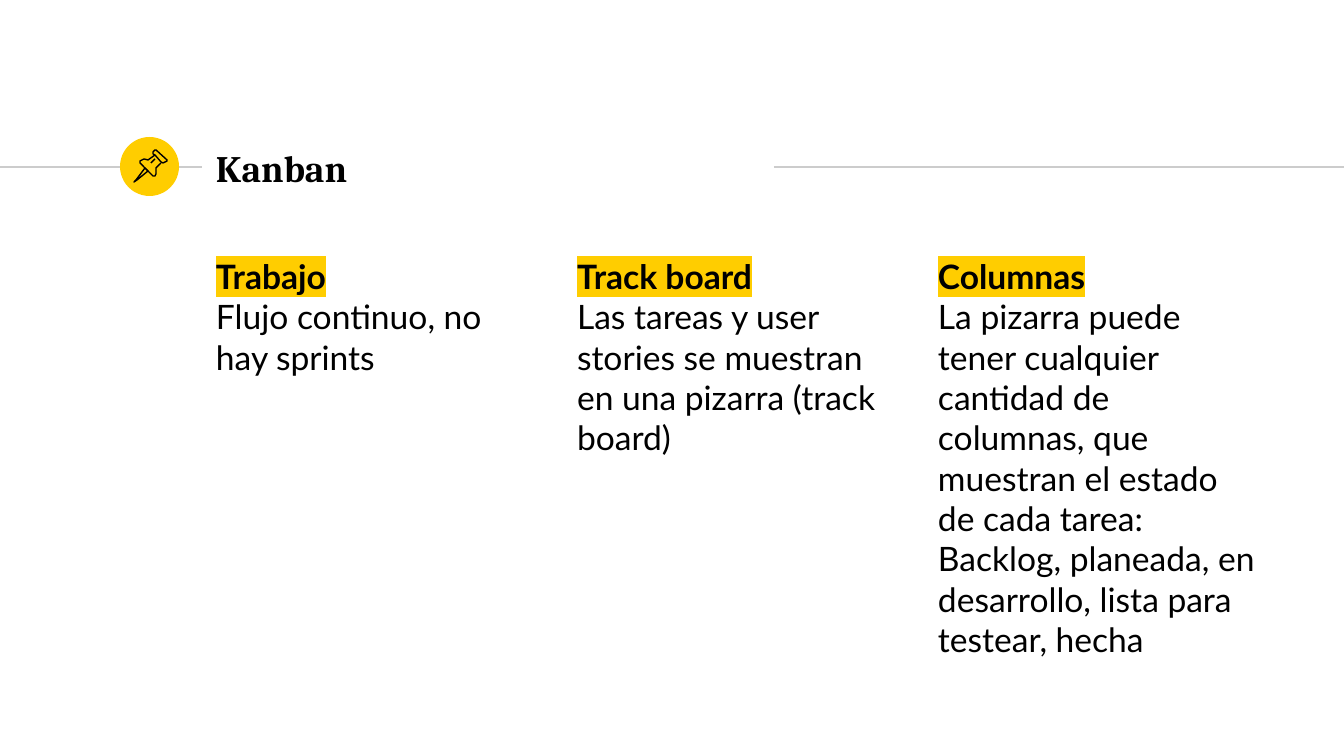
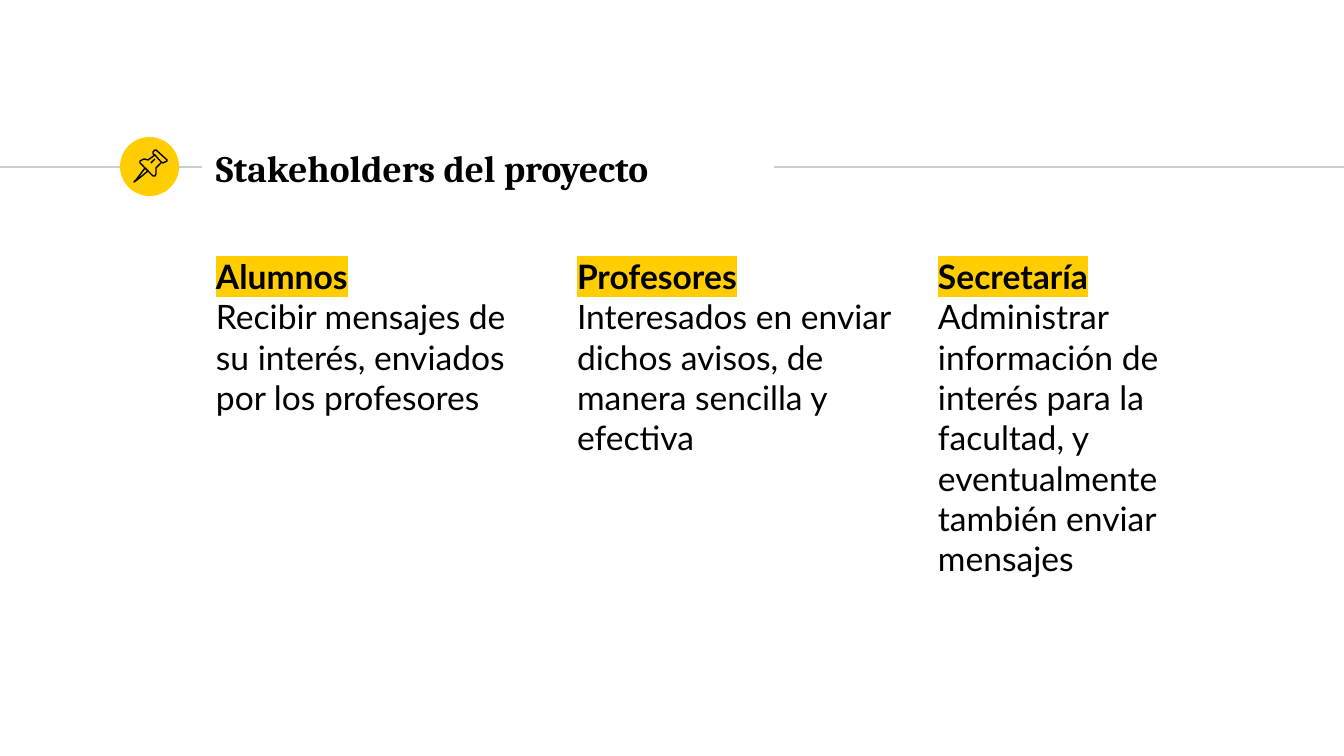
from dataclasses import dataclass

from lxml.etree import SubElement
from pptx import Presentation
from pptx.dml.color import RGBColor
from pptx.enum.shapes import MSO_CONNECTOR, MSO_SHAPE
from pptx.enum.text import MSO_ANCHOR, MSO_AUTO_SIZE, PP_ALIGN
from pptx.oxml import parse_xml
from pptx.oxml.ns import nsdecls, qn
from pptx.shapes.autoshape import Shape
from pptx.slide import Slide
from pptx.text.text import TextFrame, _Paragraph
from pptx.util import Emu, Pt

EMU_PER_PX = 914400 / 134.4
SLIDE_WIDTH, SLIDE_HEIGHT = 1344, 756
COLORS = {"ink": "000000", "accent": "FFCD00", "rule": "CCCCCC"}
TITLE_FONT, BODY_FONT = "Cambria", "Lato"
INSET = 13
LINE_WIDTH = Pt(0.75)

RULE_Y = 167
RULE_SPANS = [(0, 202), (774, SLIDE_WIDTH)]
BADGE_BOX = (120, 137, 59, 59)
TITLE_BOX = (203, 136, 570, 64)
COLUMN_LEFT, COLUMN_TOP, COLUMN_WIDTH, COLUMN_HEIGHT = 203, 243, 343, 458
COLUMN_STEP = 361


@dataclass(frozen=True)
class Column:
    """A highlighted heading with the text under it."""
    heading: str
    text: str


@dataclass(frozen=True)
class Topic:
    """The content of one slide."""
    title: str
    columns: tuple[Column, ...]


@dataclass(frozen=True)
class Stroke:
    """One outline of the pushpin icon."""
    points: tuple[tuple[int, int], ...]
    closed: bool = False


PUSHPIN = (
    Stroke(((145, 168), (136, 180), (134, 182), (137, 180), (148, 171)), closed=True),
    Stroke(((155, 155), (161, 162), (163, 163), (165, 162), (167, 161), (167, 160),
            (156, 150), (155, 150), (153, 152), (153, 154)), closed=True),
    Stroke(((155, 155), (148, 160), (144, 159), (140, 161), (140, 163), (153, 176),
            (155, 176), (156, 174), (156, 168), (161, 163))),
    Stroke(((151, 163), (155, 159))),
)

TOPICS = (
    Topic("Kanban", (
        Column("Trabajo", "Flujo continuo, no hay sprints"),
        Column("Track board",
               "Las tareas y user stories se muestran en una pizarra (track board)"),
        Column("Columnas",
               "La pizarra puede tener cualquier cantidad de columnas, que muestran el "
               "estado de cada tarea: Backlog, planeada, en desarrollo, lista para "
               "testear, hecha"),
    )),
    Topic("Stakeholders del proyecto", (
        Column("Alumnos", "Recibir mensajes de su interés, enviados por los profesores"),
        Column("Profesores",
               "Interesados en enviar dichos avisos, de manera sencilla y efectiva"),
        Column("Secretaría",
               "Administrar información de interés para la facultad, y eventualmente "
               "también enviar mensajes"),
    )),
)


def px(length: float) -> Emu:
    """Turn pixels into EMU."""
    return Emu(round(length * EMU_PER_PX))


def color(name: str) -> RGBColor:
    """Look up a named colour."""
    return RGBColor.from_string(COLORS[name])


def place(placeholder: Shape, box: tuple[int, int, int, int],
          anchor: MSO_ANCHOR = MSO_ANCHOR.TOP) -> TextFrame:
    """Move a placeholder, set its margins and return its text frame."""
    placeholder.left, placeholder.top, placeholder.width, placeholder.height = map(px, box)
    frame = placeholder.text_frame
    frame.word_wrap = True
    frame.auto_size = MSO_AUTO_SIZE.NONE
    frame.vertical_anchor = anchor
    frame.margin_left = frame.margin_right = px(INSET)
    frame.margin_top = frame.margin_bottom = px(INSET)
    return frame


def write(paragraph: _Paragraph, text: str, *, font: str, size: int,
          bold: bool = False, highlight: str | None = None) -> None:
    """Fill a paragraph with one formatted run, flush left and without a bullet."""
    paragraph.alignment = PP_ALIGN.LEFT
    paragraph.space_before = paragraph.space_after = Pt(0)
    paragraph.line_spacing = 1.0
    properties = paragraph._p.get_or_add_pPr()
    properties.set("marL", "0")
    properties.set("indent", "0")
    SubElement(properties, qn("a:buNone"))
    run = paragraph.add_run()
    run.text = text
    run.font.name, run.font.size, run.font.bold = font, Pt(size), bold
    run.font.color.rgb = color("ink")
    if highlight:
        fill = run._r.rPr.find(qn("a:solidFill"))
        fill.addnext(parse_xml(
            f'<a:highlight {nsdecls("a")}><a:srgbClr val="{COLORS[highlight]}"/></a:highlight>'))


def draw_header(slide: Slide) -> None:
    """Draw the rules either side of the title and the round badge."""
    for start, end in RULE_SPANS:
        rule = slide.shapes.add_connector(
            MSO_CONNECTOR.STRAIGHT, px(start), px(RULE_Y), px(end), px(RULE_Y))
        rule.line.color.rgb = color("rule")
        rule.line.width = LINE_WIDTH
        SubElement(rule._element.spPr, qn("a:effectLst"))
    badge = slide.shapes.add_shape(MSO_SHAPE.OVAL, *map(px, BADGE_BOX))
    badge.shadow.inherit = False
    badge.fill.solid()
    badge.fill.fore_color.rgb = color("accent")
    badge.line.fill.background()


def draw_pushpin(slide: Slide) -> None:
    """Draw the pushpin icon as a group of outlines."""
    icon = slide.shapes.add_group_shape()
    for stroke in PUSHPIN:
        start, *others = stroke.points
        builder = icon.shapes.build_freeform(*start, scale=EMU_PER_PX)
        builder.add_line_segments(others, close=stroke.closed)
        outline = builder.convert_to_shape()
        outline.shadow.inherit = False
        outline.fill.background()
        outline.line.color.rgb = color("ink")
        outline.line.width = LINE_WIDTH


def draw_column(placeholder: Shape, column: Column, index: int) -> None:
    """Write a heading and its text into the column at the given index."""
    left = COLUMN_LEFT + index * COLUMN_STEP
    frame = place(placeholder, (left, COLUMN_TOP, COLUMN_WIDTH, COLUMN_HEIGHT))
    write(frame.paragraphs[0], column.heading, font=BODY_FONT, size=18,
          bold=True, highlight="accent")
    write(frame.add_paragraph(), column.text, font=BODY_FONT, size=18)


def build_slide(deck: Presentation, topic: Topic) -> None:
    """Add one slide with its header, title and columns."""
    slide = deck.slides.add_slide(deck.slide_layouts.get_by_name("Comparison"))
    draw_header(slide)
    title = place(slide.shapes.title, TITLE_BOX, MSO_ANCHOR.MIDDLE)
    write(title.paragraphs[0], topic.title, font=TITLE_FONT, size=20, bold=True)
    bodies = list(slide.placeholders)[1:]
    for index, (body, column) in enumerate(zip(bodies, topic.columns)):
        draw_column(body, column, index)
    for unused in bodies[len(topic.columns):]:
        unused._element.getparent().remove(unused._element)
    draw_pushpin(slide)


def main() -> None:
    """Build and save the deck."""
    deck = Presentation()
    deck.slide_width, deck.slide_height = px(SLIDE_WIDTH), px(SLIDE_HEIGHT)
    for topic in TOPICS:
        build_slide(deck, topic)
    deck.save("out.pptx")


main()
